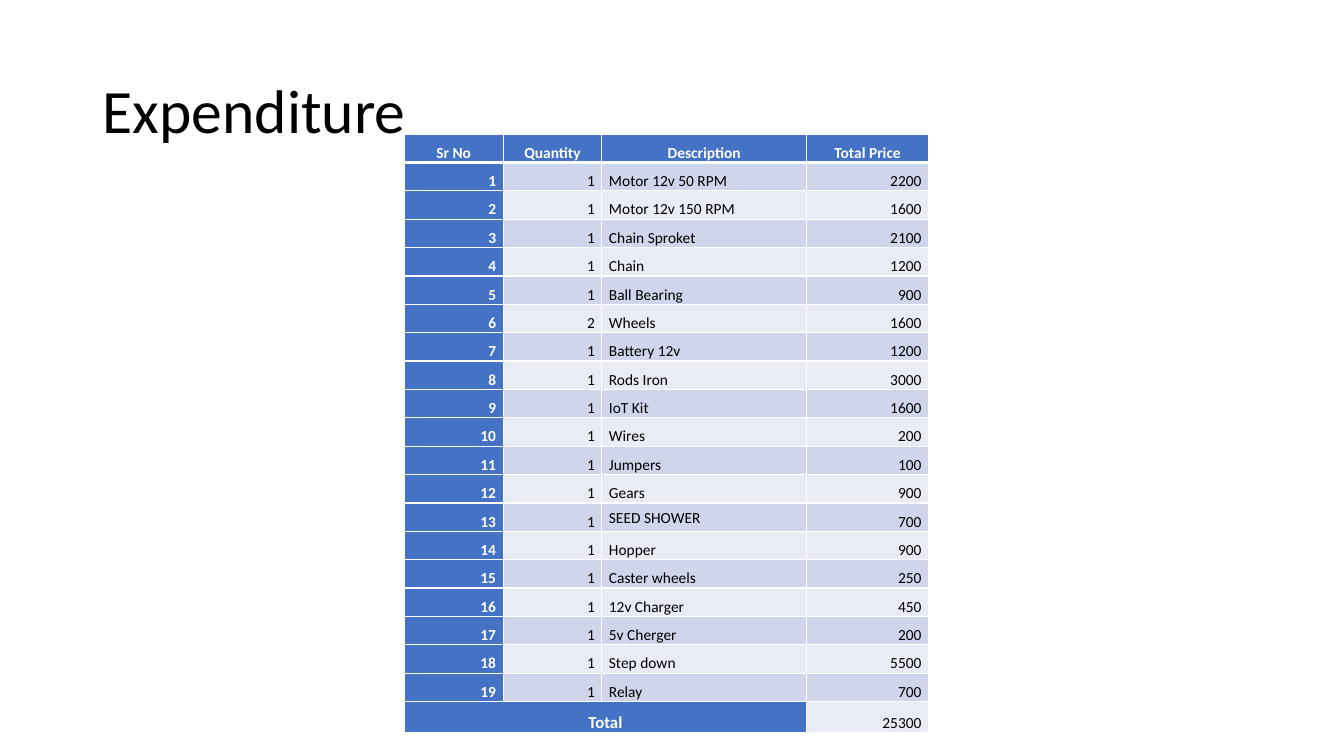
from lxml import etree
from pptx import Presentation
from pptx import util as u
from pptx.dml.color import RGBColor
from pptx.enum import text
from pptx.oxml import ns

COLORS = {"ink": "000000", "white": "FFFFFF", "head": "4472C4",
          "odd": "CFD5EA", "even": "E9EBF5"}
FONT = "Calibri"
HEADINGS = ("Sr No", "Quantity", "Description", "Total Price")
ITEMS = [
    (1, "Motor 12v 50 RPM", 2200), (1, "Motor 12v 150 RPM", 1600),
    (1, "Chain Sproket", 2100), (1, "Chain", 1200),
    (1, "Ball Bearing", 900), (2, "Wheels", 1600),
    (1, "Battery 12v", 1200), (1, "Rods Iron", 3000),
    (1, "IoT Kit", 1600), (1, "Wires", 200), (1, "Jumpers", 100),
    (1, "Gears", 900), (1, "SEED SHOWER", 700), (1, "Hopper", 900),
    (1, "Caster wheels", 250), (1, "12v Charger", 450),
    (1, "5v Cherger", 200), (1, "Step down", 5500), (1, "Relay", 700),
]
TOTAL = 25300
COLUMN_WIDTHS = (0.98, 0.98, 2.03, 1.21)
TOTAL_HEIGHT = 0.31
LEFT, CENTER, RIGHT, JUSTIFY = (
    text.PP_ALIGN.LEFT, text.PP_ALIGN.CENTER,
    text.PP_ALIGN.RIGHT, text.PP_ALIGN.JUSTIFY)


def write(paragraph, words, size, color, bold=False):
    """Add one formatted run to a paragraph."""
    run = paragraph.add_run()
    run.text = str(words)
    run.font.name, run.font.size, run.font.bold = FONT, u.Pt(size), bold
    run.font.color.rgb = RGBColor.from_string(COLORS[color])


def rule_cell(cell, top=1, bottom=1):
    """Draw white borders around a cell, with widths in points."""
    properties = cell._tc.get_or_add_tcPr()
    for side, points in (("L", 1), ("R", 1), ("T", top), ("B", bottom)):
        border = etree.SubElement(properties, ns.qn(f"a:ln{side}"), w=str(u.Pt(points)))
        fill = etree.SubElement(border, ns.qn("a:solidFill"))
        etree.SubElement(fill, ns.qn("a:srgbClr"), val=COLORS["white"])


def fill_cell(cell, words, align, band, size=11, top=1, bottom=1):
    """Style one table cell and write its words."""
    rule_cell(cell, top, bottom)
    cell.fill.solid()
    cell.fill.fore_color.rgb = RGBColor.from_string(COLORS[band])
    cell.margin_left = cell.margin_right = u.Inches(0.07)
    cell.margin_top = cell.margin_bottom = 0
    cell.vertical_anchor = text.MSO_ANCHOR.BOTTOM
    line = cell.text_frame.paragraphs[0]
    line.alignment, line.line_spacing = align, 1.07
    is_head = band == "head"
    if words != "":
        write(line, words, size, "white" if is_head else "ink", is_head)


def add_title(slide, left, top, width, height):
    """Place the slide heading in its box."""
    heading = slide.shapes.add_textbox(*map(u.Inches, (left, top, width, height)))
    frame = heading.text_frame
    frame.word_wrap = True
    frame.vertical_anchor = text.MSO_ANCHOR.MIDDLE
    frame.paragraphs[0].line_spacing = 0.9
    write(frame.paragraphs[0], "Expenditure", 44, "ink")


def add_expenses(slide, left, top, width, height):
    """Place the expense table, from headings to total, in its box."""
    last = len(ITEMS) + 1
    expenses = slide.shapes.add_table(
        last + 1, len(HEADINGS), *map(u.Inches, (left, top, width, height))).table
    for column, share in zip(expenses.columns, COLUMN_WIDTHS):
        column.width = u.Inches(width * share / sum(COLUMN_WIDTHS))
    for row in expenses.rows:
        row.height = u.Inches((height - TOTAL_HEIGHT) / last)
    expenses.rows[last].height = u.Inches(TOTAL_HEIGHT)

    for col, heading in enumerate(HEADINGS):
        fill_cell(expenses.cell(0, col), heading, CENTER, "head", bottom=3)
    for number, item in enumerate(ITEMS, 1):
        band = "odd" if number % 2 else "even"
        for col, value in enumerate((number, *item)):
            fill_cell(expenses.cell(number, col), value, LEFT if col == 2 else RIGHT,
                      band if col else "head", top=3 if number == 1 else 1)
        if item[1] == "SEED SHOWER":
            shower = expenses.cell(number, 2)
            shower.vertical_anchor = text.MSO_ANCHOR.MIDDLE
            shower.text_frame.paragraphs[0].alignment = JUSTIFY

    for col, label in enumerate(("Total", "", "")):
        fill_cell(expenses.cell(last, col), label, CENTER, "head", size=12)
    expenses.cell(last, 0).merge(expenses.cell(last, 2))
    fill_cell(expenses.cell(last, 3), TOTAL, RIGHT, "even")


def main():
    """Build the expenditure slide and save it."""
    deck = Presentation()
    deck.slide_width, deck.slide_height = u.Inches(13.33), u.Inches(7.5)
    slide = deck.slides.add_slide(deck.slide_layouts[6])
    add_title(slide, 0.92, 0.4, 11.5, 1.45)
    add_expenses(slide, 4.01, 1.33, 5.2, 5.94)
    deck.save("out.pptx")


if __name__ == "__main__":
    main()
